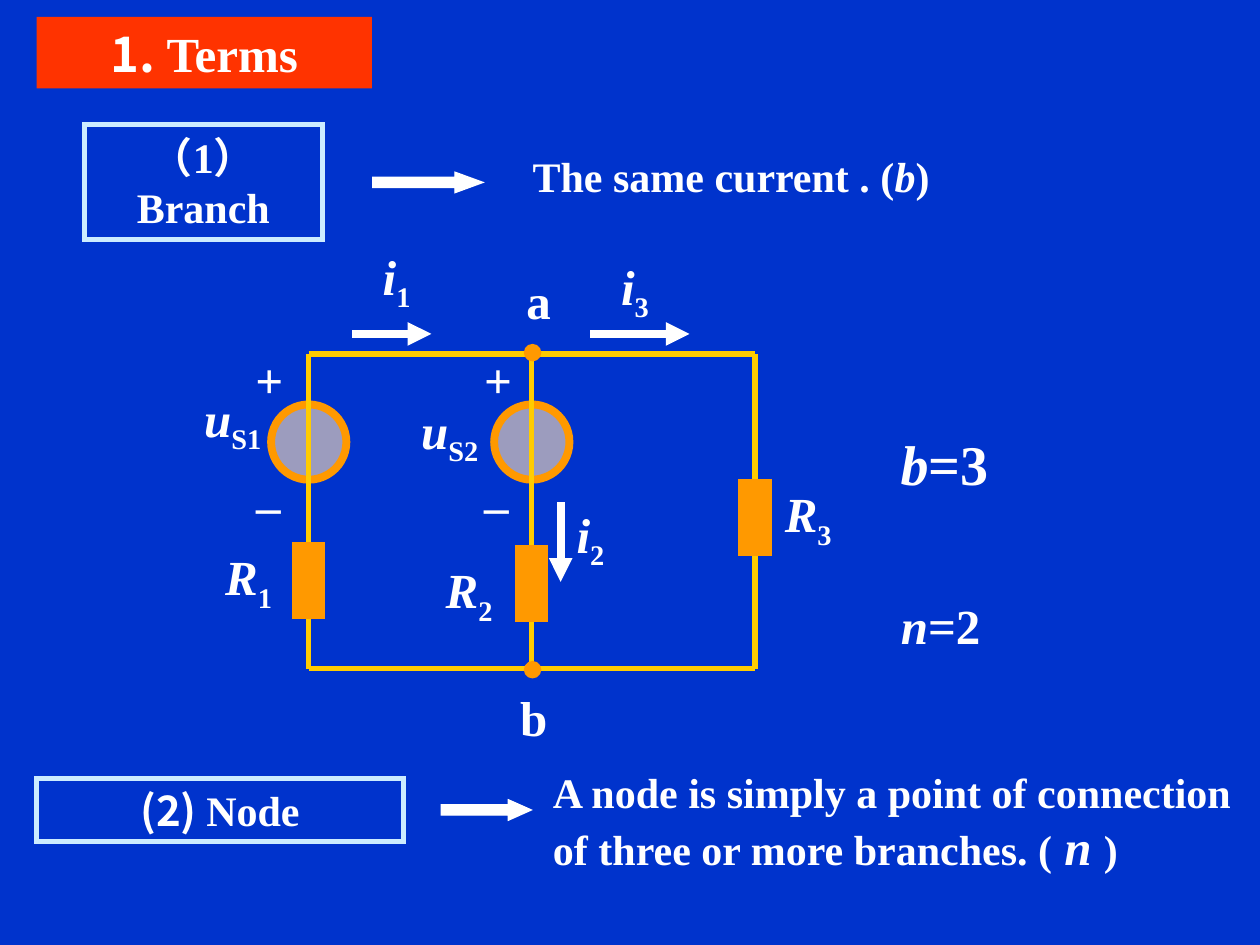
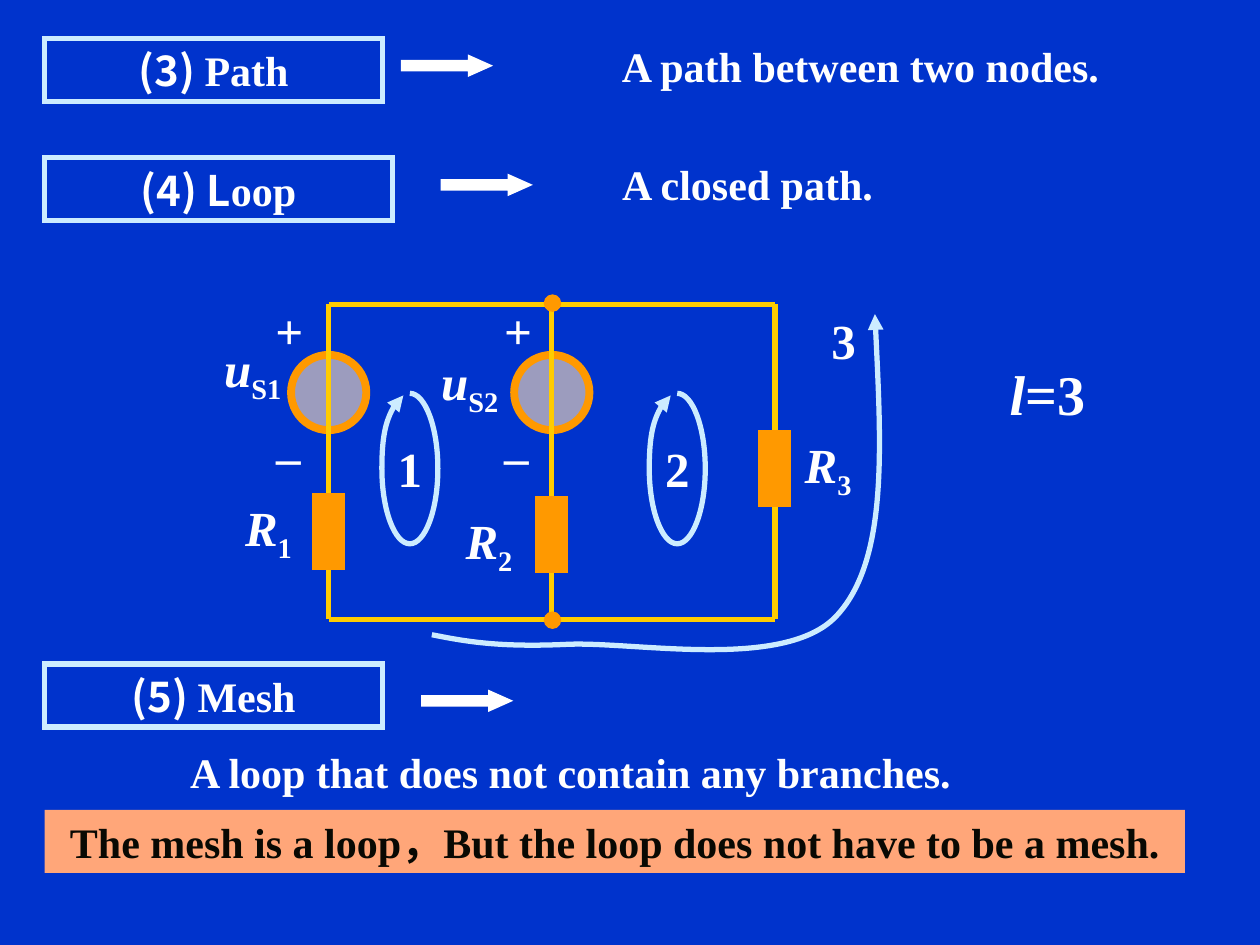
"""Build two slides on circuit terms: branch, node, path, loop and mesh."""
import pptx
import pptx.dml.color
import pptx.enum.shapes
import pptx.enum.text
import pptx.oxml
import pptx.oxml.ns
import pptx.util

Pt = pptx.util.Pt
SHAPES = pptx.enum.shapes.MSO_SHAPE
STRAIGHT = pptx.enum.shapes.MSO_CONNECTOR.STRAIGHT
LEFT = pptx.enum.text.PP_ALIGN.LEFT
CENTER = pptx.enum.text.PP_ALIGN.CENTER
SERIF = "Times New Roman"
SANS = "Noto Sans CJK SC"
NAMESPACE = pptx.oxml.ns.nsdecls("a")
COLORS = {
    "background": "0033CC",
    "title": "FF3300",
    "text": "FFFFFF",
    "frame": "CCECFF",
    "wire": "FFCC00",
    "part": "FF9900",
    "source": "9C9CBE",
    "banner": "FFA679",
    "banner text": "090903",
}
RGB = {name: pptx.dml.color.RGBColor.from_string(value) for name, value in COLORS.items()}


def add_shape(slide, kind, box, fill=None, line=None, line_width=1):
    shape = slide.shapes.add_shape(kind, *map(Pt, box))
    shape.shadow.inherit = False
    if fill:
        shape.fill.solid()
        shape.fill.fore_color.rgb = RGB[fill]
    else:
        shape.fill.background()
    if line:
        shape.line.color.rgb = RGB[line]
        shape.line.width = Pt(line_width)
        outline = shape._element.spPr.find(pptx.oxml.ns.qn("a:ln"))
        outline.append(pptx.oxml.parse_xml(f'<a:miter {NAMESPACE} lim="800000"/>'))
    else:
        shape.line.fill.background()
    return shape


def write(shape, runs, size, align=CENTER, color="text"):
    frame = shape.text_frame
    frame.word_wrap = shape.width > Pt(70)
    frame.vertical_anchor = pptx.enum.text.MSO_ANCHOR.MIDDLE
    paragraph = frame.paragraphs[0]
    paragraph.alignment = align
    paragraph.font.size = Pt(size)
    paragraph.font.bold = True
    paragraph.font.color.rgb = RGB[color]
    if not any("sans" in style for text, style in runs):
        paragraph.font.name = SERIF
    for text, style in runs:
        run = paragraph.add_run()
        run.text = text
        if paragraph.font.name is None:
            run.font.name = SANS if "sans" in style else SERIF
        if "italic" in style:
            run.font.italic = True
        if "large" in style:
            run.font.size = Pt(28)
        if "subscript" in style:
            run.font._element.set("baseline", "-25000")


presentation = pptx.Presentation()
presentation.slide_width = Pt(720)
presentation.slide_height = Pt(540)
slides = []
for number in range(2):
    slide = presentation.slides.add_slide(presentation.slide_layouts[6])
    slide.background.fill.solid()
    slide.background.fill.fore_color.rgb = RGB["background"]
    slides.append(slide)
terms_slide, loops_slide = slides
strokes = []

title = add_shape(terms_slide, SHAPES.RECTANGLE, (21, 9.6, 191.5, 41), "title")
write(title, [("1. ", "sans"), ("Terms", "")], 28)

term_boxes = [
    (terms_slide, (48.2, 71.2, 136, 65.5), [("（1） Branch", "")]),
    (terms_slide, (20.9, 444.8, 209.5, 36), [("(2) ", "sans"), ("Node", "")]),
    (loops_slide, (25.5, 21.9, 193, 36), [("(3) ", "sans"), ("Path", "")]),
    (loops_slide, (25.5, 90.2, 198.7, 36), [("(4) L", "sans"), ("oop", "")]),
    (loops_slide, (25.5, 379.5, 193, 36), [("(5) ", "sans"), ("Mesh", "")]),
]
for slide, box, runs in term_boxes:
    write(add_shape(slide, SHAPES.RECTANGLE, box, line="frame", line_width=3), runs, 24)

term_arrows = [
    (terms_slide, 213, 98.4, 63, 1.37),
    (terms_slide, 252.2, 457, 51.4, 1.12),
    (loops_slide, 229.5, 31.7, 51.4, 1.12),
    (loops_slide, 252.2, 99.8, 51.4, 1.12),
    (loops_slide, 241, 394.6, 51.4, 1.12),
]
for slide, left, top, width, head in term_arrows:
    arrow = add_shape(slide, SHAPES.RIGHT_ARROW, (left, top, width, 11.7), "text", "text", 0.75)
    arrow.adjustments[1] = head

texts = [
    (terms_slide, (297.3, 82.7, 244, 36), 24, LEFT,
     [("The same current . (", ""), ("b", "italic"), (")", "")]),
    (terms_slide, (308.9, 434, 414, 70), 24, LEFT,
     [("A node is simply a point of connection of three or more branches. (", ""),
      (" n ", "italic large"), (")", "")]),
    (loops_slide, (348.5, 87, 180, 36), 24, LEFT, [("A closed path.", "")]),
    (loops_slide, (306.2, 19.5, 371, 36), 24, CENTER, [("A path between two nodes.", "")]),
    (loops_slide, (48, 423.2, 556, 36), 24, CENTER,
     [("A loop that does not contain any branches.", "")]),
    (terms_slide, (507.3, 242, 65, 45), 32, CENTER, [("b", "italic"), ("=3", "")]),
    (terms_slide, (507.3, 336.6, 60.5, 41), 28, CENTER, [("n", "italic"), ("=2", "")]),
    (loops_slide, (569.7, 202.2, 57.6, 45), 32, CENTER, [("l", "italic"), ("=3", "")]),
    (terms_slide, (291.8, 150.8, 32, 41), 28, CENTER, [("a", "")]),
    (terms_slide, (286.2, 389, 37.5, 41), 28, CENTER, [("b", "")]),
    (loops_slide, (468, 173.5, 28, 41), 28, CENTER, [("3", "")]),
]

column_gap = 127.5
circuit_width = 2 * column_gap
circuit_height = 179.8
wires = [(column * column_gap, 0, column * column_gap, circuit_height) for column in range(3)]
wires += [(0, level, circuit_width, level) for level in (0, circuit_height)]
resistor_middles = [129.6, 131.2, 93.5]
circuit_labels = [
    (-34.4, 129.3, 68, "R", "1"),
    (91.6, 136.7, 68, "R", "2"),
    (285.4, 93.4, 68, "R", "3"),
    (-43.4, 38.6, 68, "u", "S1"),
    (80.6, 45.8, 68, "u", "S2"),
    (-22.5, 14.4, 30, "+", ""),
    (108.2, 14.4, 30, "+", ""),
    (-23, 76.6, 29, "_", ""),
    (107.2, 76.6, 29, "_", ""),
]
for slide, left, top in [(terms_slide, 176.4, 202.3), (loops_slide, 187.8, 174)]:
    for column in range(2):
        box = (left + column * column_gap - 21.5, top + 28.8, 43, 43)
        add_shape(slide, SHAPES.OVAL, box, "source", "part", 4.5)
    for x1, y1, x2, y2 in wires:
        ends = (left + x1, top + y1, left + x2, top + y2)
        wire = slide.shapes.add_connector(STRAIGHT, *map(Pt, ends))
        strokes.append((wire, "wire", 3, False))
    for column, middle in enumerate(resistor_middles):
        box = (left + column * column_gap - 9, top + middle - 21.5, 18, 43)
        add_shape(slide, SHAPES.RECTANGLE, box, "part", "part")
    for level in (-0.8, circuit_height + 0.6):
        box = (left + column_gap - 4.6, top + level - 5, 10, 10)
        add_shape(slide, SHAPES.OVAL, box, "part")
    for x, y, width, symbol, index in circuit_labels:
        runs = [(symbol, "italic"), (index, "subscript")] if index else [(symbol, "")]
        box = (left + x - width / 2, top + y - 20.5, width, 41)
        texts.append((slide, box, 28, CENTER, runs))

currents = [
    ("1", (201.4, 190.8, 246.5, 190.8), (206.6, 139.5, 40, 41)),
    ("2", (320.4, 287, 320.4, 332.5), (320.4, 287, 34, 41)),
    ("3", (337.4, 190.8, 394, 190.8), (342.8, 145.2, 40, 41)),
]
for index, ends, box in currents:
    arrow = terms_slide.shapes.add_connector(STRAIGHT, *map(Pt, ends))
    strokes.append((arrow, "text", 4.5, True))
    texts.append((terms_slide, box, 28, CENTER, [("i", "italic"), (index, "subscript")]))

mesh_curve = [
    (0, -43), (8.7, -43), (16, -23.7), (16, 0), (16, 23.7), (8.7, 43), (0, 43),
    (-8.7, 43), (-16, 23.7), (-16, 0), (-16, -20.2), (-10.9, -37.4), (-3.7, -41.8),
]
curves = [[
    (246.8, 362.7), (265.7, 366.5), (285, 370), (324, 368.2), (362.2, 366.4),
    (448.5, 383.5), (478, 352), (507.6, 320.4), (503.3, 249.8), (500, 179.5),
]]
for name, center in [("1", 234.2), ("2", 387)]:
    curves.append([(center + x, 267.8 + y) for x, y in mesh_curve])
    texts.append((loops_slide, (center - 14.5, 247, 29, 41), 28, CENTER, [(name, "")]))

for curve in curves:
    points = [(Pt(x), Pt(y)) for x, y in curve]
    builder = loops_slide.shapes.build_freeform(*points[0])
    builder.add_line_segments(points[1:], close=False)
    loop_arrow = builder.convert_to_shape()
    loop_arrow.fill.background()
    segments = list(loop_arrow._element.iter(pptx.oxml.ns.qn("a:lnTo")))
    for first in range(0, len(segments), 3):
        bezier = pptx.oxml.parse_xml(f"<a:cubicBezTo {NAMESPACE}/>")
        segments[first].addprevious(bezier)
        for segment in segments[first:first + 3]:
            bezier.append(segment[0])
            segment.getparent().remove(segment)
    strokes.append((loop_arrow, "frame", 3, True))

for stroke, color, width, arrowhead in strokes:
    stroke.line.color.rgb = RGB[color]
    stroke.line.width = Pt(width)
    properties = stroke._element.spPr
    if arrowhead:
        outline = properties.find(pptx.oxml.ns.qn("a:ln"))
        outline.append(pptx.oxml.parse_xml(f'<a:tailEnd {NAMESPACE} type="triangle"/>'))
    properties.append(pptx.oxml.parse_xml(f"<a:effectLst {NAMESPACE}/>"))

for slide, box, size, align, runs in texts:
    write(slide.shapes.add_textbox(*map(Pt, box)), runs, size, align)

banner = add_shape(loops_slide, SHAPES.RECTANGLE, (25.5, 462.8, 651.6, 36), "banner")
write(banner, [("The mesh is a loop，But the loop does not have to be a mesh.", "")], 24,
      color="banner text")

presentation.save("out.pptx")
